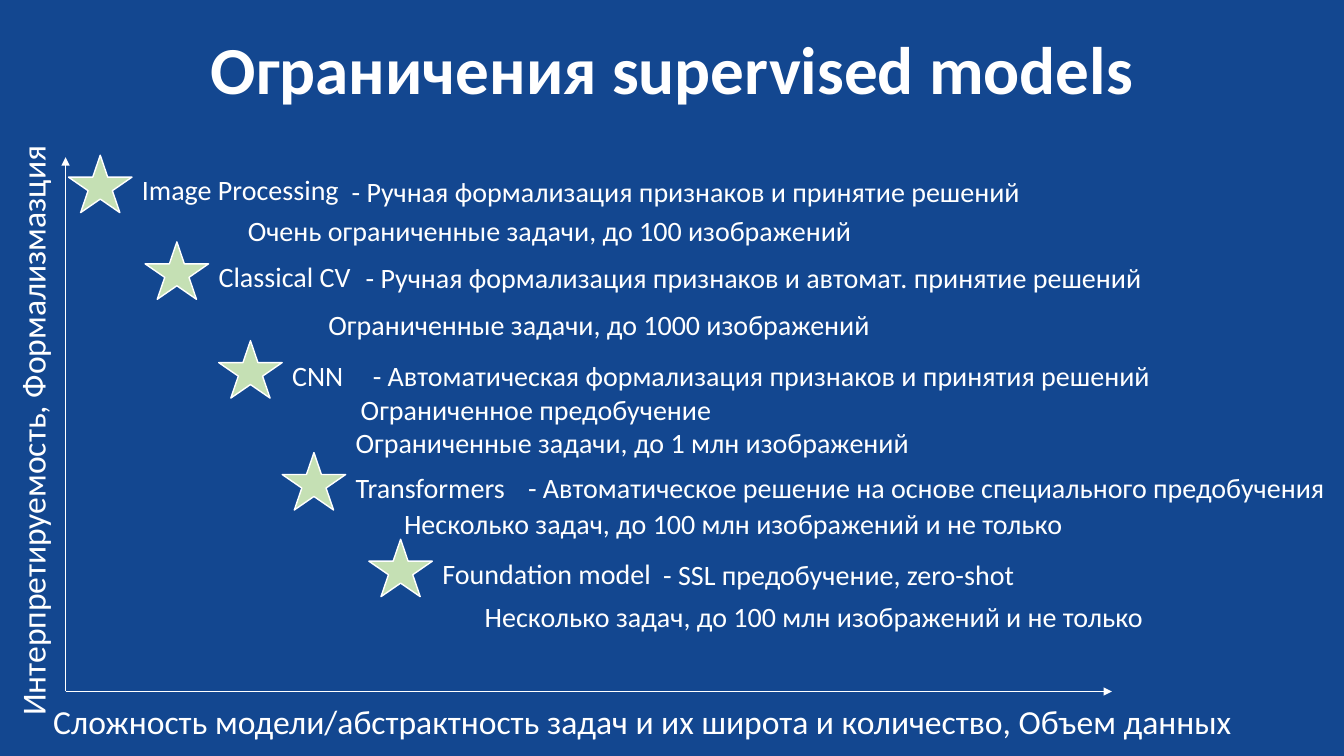
import pptx
import pptx.util
import pptx.dml.color
import pptx.enum.shapes
import pptx.enum.text
import pptx.oxml.ns
import lxml.etree

HUES = {"back": "134790", "text": "FFFFFF", "star": "C5E0B4"}
CELL = 0.1
COLS, ROWS = 133.33, 75
STAR = (6.3, 5.7)
LINE = 4.4
STEPS = [
    ((6.8, 15.4), "Image Processing", 21.7, [
        (27.1, 1.4, "- Ручная формализация признаков и принятие решений"),
        (16.8, 5.3, "Очень ограниченные задачи, до 100 изображений")]),
    ((14.4, 24), "Classical CV", 15.2, [
        (20.9, 1.4, "- Ручная формализация признаков и автомат. принятие решений"),
        (17.2, 6, "Ограниченные задачи, до 1000 изображений")]),
    ((21.7, 33.8), "CNN", 7.1, [
        (14.3, 1.3, "- Автоматическая формализация признаков и принятия решений"),
        (13.1, 4.6, "Ограниченное предобучение"),
        (12.6, 7.9, "Ограниченные задачи, до 1 млн изображений")]),
    ((28, 44.9), "Transformers", 17.6, [
        (23.4, 1.3, "- Автоматическое решение на основе специального предобучения"),
        (11.1, 4.9, "Несколько задач, до 100 млн изображений и не только")]),
    ((36.6, 53.5), "Foundation model", 24.2, [
        (28.2, 1.3, "- SSL предобучение, zero-shot"),
        (10.5, 5.5, "Несколько задач, до 100 млн изображений и не только")]),
]


def hue(name):
    """Return a named colour."""
    return pptx.dml.color.RGBColor.from_string(HUES[name])


def grid(*cells):
    """Turn grid cells into lengths."""
    return [pptx.util.Inches(cell * CELL) for cell in cells]


def write(slide, box, text, size=20, wrap=True):
    """Add a text box and return it."""
    shape = slide.shapes.add_textbox(*grid(*box))
    frame = shape.text_frame
    frame.word_wrap = wrap
    frame.text = text
    font = frame.paragraphs[0].runs[0].font
    font.name = "Calibri"
    font.size = pptx.util.Pt(size)
    font.color.rgb = hue("text")
    return shape


def title(slide, box, text):
    """Add the centred heading."""
    frame = write(slide, box, text, 48).text_frame
    frame.vertical_anchor = pptx.enum.text.MSO_ANCHOR.MIDDLE
    line = frame.paragraphs[0]
    line.alignment = pptx.enum.text.PP_ALIGN.CENTER
    line.line_spacing = 0.9
    line.runs[0].font.bold = True


def arrow(slide, start, end):
    """Add an axis line with an arrowhead at its end."""
    kind = pptx.enum.shapes.MSO_CONNECTOR.STRAIGHT
    axis = slide.shapes.add_connector(kind, *grid(*start, *end))
    axis.line.color.rgb = hue("text")
    axis.line.width = pptx.util.Pt(0.5)
    name = pptx.oxml.ns.qn
    head = lxml.etree.SubElement(axis.line._get_or_add_ln(), name("a:tailEnd"))
    head.set("type", "triangle")
    lxml.etree.SubElement(axis._element.spPr, name("a:effectLst"))


def axes(slide, box):
    """Add both axes and their labels around a plot box."""
    left, top, width, height = box
    base = top + height
    arrow(slide, (left, base), (left, top))
    arrow(slide, (left, base), (left + width, base))
    write(slide, (left - 2.2, base + 0.4, 120.7, 5),
          "Сложность модели/абстрактность задач и их широта и количество, Объем данных",
          24, False)
    long = 59.2
    label = write(slide, (left - 3.3 - long / 2, top + 24.3, long, 5),
                  "Интерпретируемость, Формализмазция", 24, False)
    label.rotation = 270


def step(slide, spot, name, width, notes):
    """Add a star with its model name and notes."""
    left, top = spot
    kind = pptx.enum.shapes.MSO_SHAPE.STAR_5_POINT
    star = slide.shapes.add_shape(kind, *grid(left, top, *STAR))
    star.shadow.inherit = False
    star.fill.solid()
    star.fill.fore_color.rgb = hue("star")
    star.line.color.rgb = hue("text")
    star.line.width = pptx.util.Pt(1)
    write(slide, (left + STAR[0], top + 1.25, width, LINE), name, wrap=False)
    for right, down, text in notes:
        start = left + right
        write(slide, (start, top + down, COLS - start, LINE), text)


def main():
    """Build and save the slide."""
    deck = pptx.Presentation()
    deck.slide_width, deck.slide_height = grid(COLS, ROWS)
    slide = deck.slides.add_slide(deck.slide_layouts[6])
    fill = slide.background.fill
    fill.solid()
    fill.fore_color.rgb = hue("back")
    title(slide, (9.2, 4, 115, 6.4), "Ограничения supervised models")
    axes(slide, (6.5, 15.6, 103.8, 53))
    for item in STEPS:
        step(slide, *item)
    deck.save("out.pptx")


if __name__ == "__main__":
    main()
